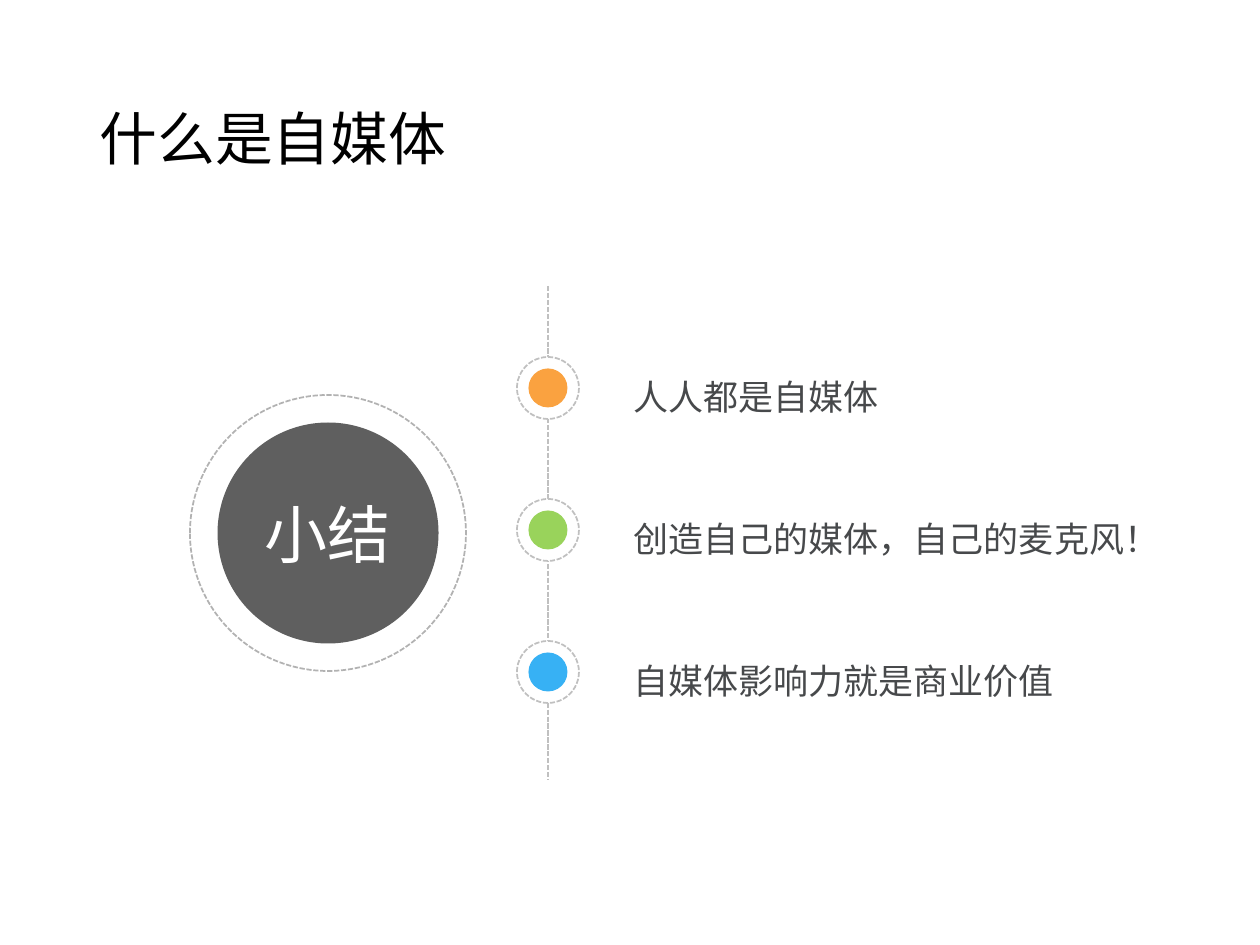
from lxml import etree
from pptx import Presentation
from pptx.dml.color import RGBColor
from pptx.enum.dml import MSO_LINE
from pptx.enum.shapes import MSO_CONNECTOR, MSO_SHAPE
from pptx.enum.text import MSO_ANCHOR, MSO_AUTO_SIZE, PP_ALIGN
from pptx.oxml.ns import qn
from pptx.util import Pt

# Content
TITLE = "什么是自媒体"
SUMMARY = "小结"
POINTS = [  # text, dot colour, text box width
    ("人人都是自媒体", "orange", 490),
    ("创造自己的媒体，自己的麦克风！", "green", 590),
    ("自媒体影响力就是商业价值", "blue", 490),
]

# Style
COLORS = {
    "black": "000000", "white": "FFFFFF", "disc": "5F5F5F", "text": "47494B",
    "line": "C0C0C0", "ring": "B2B2B2",
    "orange": "FAA240", "green": "99D35B", "blue": "37B1F4",
}
CHINESE_FONT, LATIN_FONT = "Noto Sans CJK SC", "Calibri"

# Layout in px, 126 to the inch
EMU_PER_PX = 914400 / 126
AXIS_X, AXIS_TOP, AXIS_BOTTOM = 548, 286, 780
FIRST_Y, PITCH = 388, 142
RING, DOT = 62, 39
SUMMARY_X, SUMMARY_Y, SUMMARY_RING, SUMMARY_DISC = 328, 533, 276, 221
TEXT_LEFT, TEXT_HEIGHT, TEXT_DROP = 621, 130, 4


def px(*lengths):
    return [round(length * EMU_PER_PX) for length in lengths]


def color(name):
    return RGBColor.from_string(COLORS[name])


def dash(line, name):
    line.color.rgb = color(name)
    line.width = Pt(1)
    line.dash_style = MSO_LINE.SQUARE_DOT


def add_circle(slide, x, y, size, fill, line=None):
    circle = slide.shapes.add_shape(
        MSO_SHAPE.OVAL, *px(x - size / 2, y - size / 2, size, size))
    circle.shadow.inherit = False
    circle.fill.solid()
    circle.fill.fore_color.rgb = color(fill)
    if line:
        dash(circle.line, line)
    else:
        circle.line.fill.background()
    return circle


def write(shape, text, size, name, font, align, spacing=1.0):
    frame = shape.text_frame
    frame.word_wrap = True
    frame.auto_size = MSO_AUTO_SIZE.NONE
    frame.vertical_anchor = MSO_ANCHOR.MIDDLE
    para = frame.paragraphs[0]
    para.alignment = align
    para.line_spacing = spacing
    span = para.add_run()
    span.text = text
    span.font.size = Pt(size)
    span.font.color.rgb = color(name)
    span.font.name = font
    east_asian = etree.Element(qn("a:ea"), typeface=CHINESE_FONT)
    span.font._element.find(qn("a:latin")).addnext(east_asian)
    return frame


def main():
    deck = Presentation()
    deck.slide_width, deck.slide_height = px(1260, 945)
    slide = deck.slides.add_slide(deck.slide_layouts[5])

    # Title
    title = slide.shapes.title
    title.left, title.top, title.width, title.height = px(87, 50, 1087, 183)
    write(title, TITLE, 33, "black", CHINESE_FONT, PP_ALIGN.LEFT, 0.9)

    # Vertical axis
    axis = slide.shapes.add_connector(
        MSO_CONNECTOR.STRAIGHT, *px(AXIS_X, AXIS_TOP, AXIS_X, AXIS_BOTTOM))
    dash(axis.line, "line")
    etree.SubElement(axis._element.spPr, qn("a:effectLst"))

    # Summary disc
    add_circle(slide, SUMMARY_X, SUMMARY_Y, SUMMARY_RING, "white", "ring")
    disc = add_circle(slide, SUMMARY_X, SUMMARY_Y, SUMMARY_DISC, "disc")
    frame = write(disc, SUMMARY, 36, "white", CHINESE_FONT, PP_ALIGN.CENTER)
    frame.margin_left = frame.margin_right = 0
    frame.margin_top = frame.margin_bottom = 0

    # Points along the axis
    for index, (text, dot, width) in enumerate(POINTS):
        y = FIRST_Y + index * PITCH
        top = y + TEXT_DROP - TEXT_HEIGHT / 2
        box = slide.shapes.add_textbox(*px(TEXT_LEFT, top, width, TEXT_HEIGHT))
        write(box, text, 20, "text", LATIN_FONT, PP_ALIGN.LEFT, 1.2)
        add_circle(slide, AXIS_X, y, RING, "white", "line")
        add_circle(slide, AXIS_X, y, DOT, dot)

    deck.save("out.pptx")


if __name__ == "__main__":
    main()
